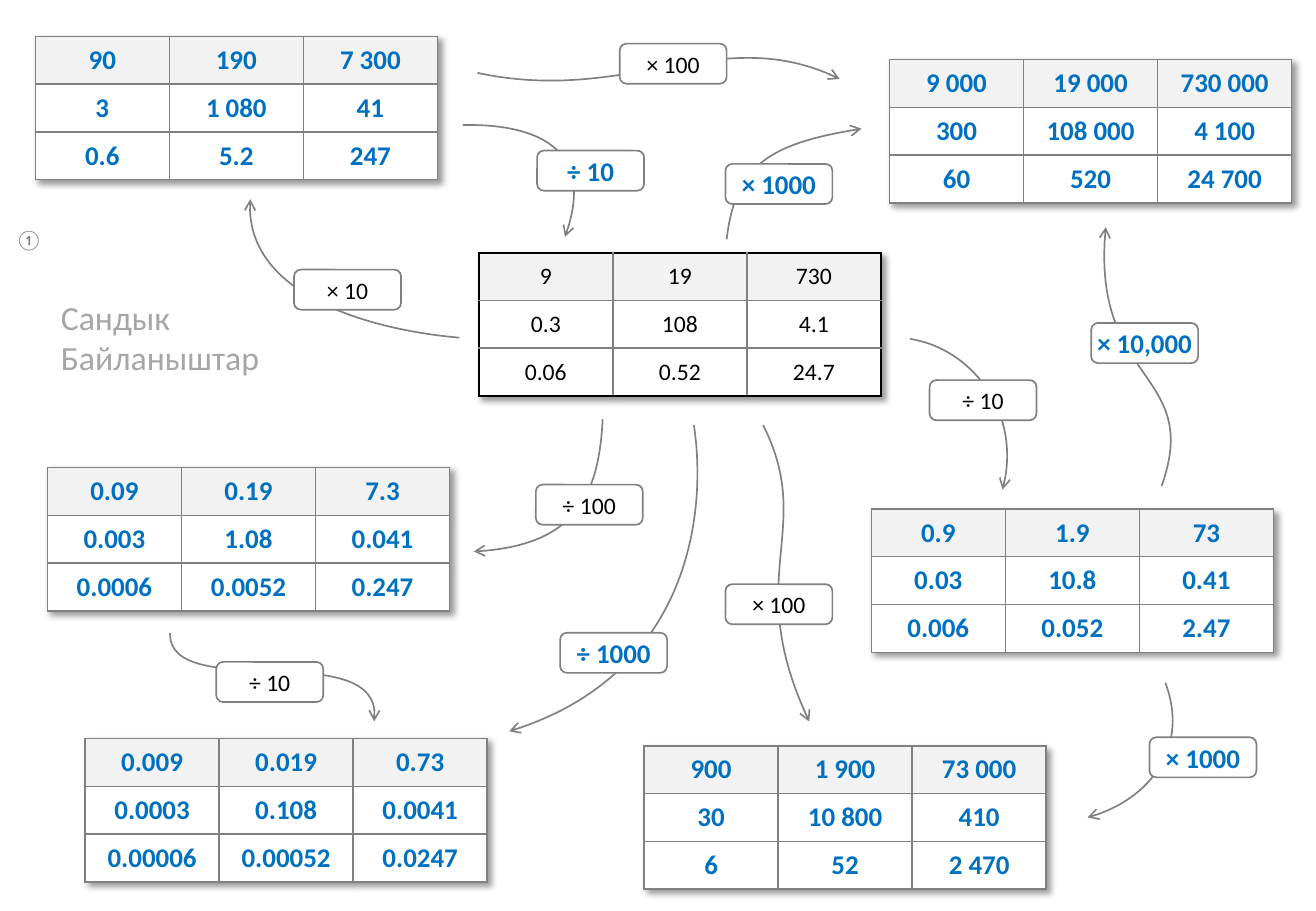
from lxml.etree import SubElement
from pptx import Presentation
from pptx.dml.color import RGBColor
from pptx.enum.shapes import MSO_SHAPE
from pptx.enum.text import MSO_ANCHOR, PP_ALIGN
from pptx.oxml import parse_xml
from pptx.oxml.ns import nsdecls, qn
from pptx.util import Pt

PX = 9144
FONT = "Calibri"
BLUE = RGBColor(0x00, 0x70, 0xC0)
BLACK = RGBColor(0x00, 0x00, 0x00)
WHITE = RGBColor(0xFF, 0xFF, 0xFF)
GRAY = RGBColor(0x80, 0x80, 0x80)
PALE_GRAY = RGBColor(0xA6, 0xA6, 0xA6)
HEADER_GRAY = RGBColor(0xF2, 0xF2, 0xF2)

SLIDE_SIZE = (1083, 750)
TITLE = ["Сандык", "Байланыштар"]
TITLE_BOX = (40, 239, 185, 77)
NUMBER = "①"
NUMBER_BOX = (3, 182, 43, 30)
TABLE_SIZE = (331, 118)
LABEL_SIZE = (88, 33)

TABLES = [
    ((29, 30), True, [["90", "190", "7 300"], ["3", "1 080", "41"], ["0.6", "5.2", "247"]]),
    ((394, 208), False, [["9", "19", "730"], ["0.3", "108", "4.1"], ["0.06", "0.52", "24.7"]]),
    ((732, 49), True, [["9 000", "19 000", "730 000"], ["300", "108 000", "4 100"],
                       ["60", "520", "24 700"]]),
    ((717, 419), True, [["0.9", "1.9", "73"], ["0.03", "10.8", "0.41"],
                        ["0.006", "0.052", "2.47"]]),
    ((530, 614), True, [["900", "1 900", "73 000"], ["30", "10 800", "410"],
                        ["6", "52", "2 470"]]),
    ((70, 608), True, [["0.009", "0.019", "0.73"], ["0.0003", "0.108", "0.0041"],
                       ["0.00006", "0.00052", "0.0247"]]),
    ((39, 385), True, [["0.09", "0.19", "7.3"], ["0.003", "1.08", "0.041"],
                       ["0.0006", "0.0052", "0.247"]]),
]

LINKS = [
    ("× 100", False, (510, 36), [(393, 60), (514, 86), (594, 17), (691, 65)]),
    ("× 1000", True, (597, 135), [(598, 197), (605, 138), (633, 118), (709, 106)]),
    ("× 10,000", True, (898, 266), [(956, 400), (989, 307), (897, 317), (910, 187)]),
    ("÷ 10", False, (765, 313), [(749, 279), (799, 287), (842, 342), (825, 403)]),
    ("× 10", False, (242, 222), [(378, 278), (299, 271), (200, 239), (206, 164)]),
    ("× 1000", True, (946, 607), [(959, 562), (978, 612), (947, 659), (895, 673)]),
    ("÷ 1000", True, (461, 521), [(571, 350), (582, 422), (567, 557), (419, 602)]),
    ("÷ 10", False, (178, 545), [(140, 521), (138, 578), (318, 522), (308, 594)]),
    ("÷ 100", False, (441, 399), [(496, 345), (493, 410), (470, 450), (390, 454)]),
    ("× 100", False, (597, 481), [(628, 350), (671, 435), (609, 474), (666, 594)]),
    ("÷ 10", True, (442, 124), [(381, 103), (430, 102), (494, 116), (465, 195)]),
]


def emu(*lengths):
    return [length * PX for length in lengths]


def write(frame, lines, size, color, bold=False, align=PP_ALIGN.CENTER):
    frame.text = "\n".join(lines)
    for para in frame.paragraphs:
        para.alignment = align
        para.font.name, para.font.size, para.font.bold = FONT, Pt(size), bold
        para.font.color.rgb = color


def write_value(frame, text, solved):
    write(frame, [text], 16 if solved else 14, BLUE if solved else BLACK, solved)


def set_borders(cell, outer_sides):
    properties = cell._tc.get_or_add_tcPr()
    for index, side in enumerate("LRTB"):
        color, width = (BLACK, 1.5) if side in outer_sides else (GRAY, 1)
        properties.insert(index, parse_xml(
            f'<a:ln{side} {nsdecls("a")} w="{Pt(width)}"><a:solidFill>'
            f'<a:srgbClr val="{color}"/></a:solidFill></a:ln{side}>'))


def add_number_table(page, corner, solved, rows):
    table = page.shapes.add_table(3, 3, *emu(*corner, *TABLE_SIZE)).table
    table.first_row = table.horz_banding = False
    table._tbl.tblPr.insert(0, parse_xml(
        f'<a:effectLst {nsdecls("a")}><a:outerShdw blurRad="50800" dist="38100" dir="2700000" '
        'algn="tl" rotWithShape="0"><a:prstClr val="black"><a:alpha val="40000"/></a:prstClr>'
        '</a:outerShdw></a:effectLst>'))
    for y, row in enumerate(rows):
        for x, value in enumerate(row):
            cell = table.cell(y, x)
            cell.margin_left = cell.margin_right = cell.margin_top = cell.margin_bottom = 0
            cell.vertical_anchor = MSO_ANCHOR.MIDDLE
            cell.fill.solid()
            cell.fill.fore_color.rgb = WHITE if y else HEADER_GRAY
            write_value(cell.text_frame, value, solved)
            outer_sides = {0: "L", 2: "R"}.get(x, "") + {0: "T", 2: "B"}.get(y, "")
            set_borders(cell, "" if solved else outer_sides)


def curve_point(curve, t):
    weights = ((1 - t) ** 3, 3 * t * (1 - t) ** 2, 3 * t ** 2 * (1 - t), t ** 3)
    return tuple(sum(w * point[axis] for w, point in zip(weights, curve)) for axis in (0, 1))


def add_curved_arrow(page, curve):
    """Size the outline by points along the curve, then make it one Bézier segment."""
    start, *others = curve = [emu(*point) for point in curve]
    outline = page.shapes.build_freeform(*start)
    outline.add_line_segments([curve_point(curve, i / 20) for i in range(1, 21)], close=False)
    arrow = outline.convert_to_shape()
    arrow.shadow.inherit = False
    arrow.fill.background()
    arrow.line.color.rgb, arrow.line.width = GRAY, Pt(1)
    SubElement(arrow.line._get_or_add_ln(), qn("a:tailEnd"), type="arrow")
    segments = list(arrow._element.iter(qn("a:lnTo")))
    bezier = SubElement(segments[0].getparent(), qn("a:cubicBezTo"))
    for segment in segments:
        segment.getparent().remove(segment)
    for x, y in others:
        SubElement(bezier, qn("a:pt"), x=str(x - arrow.left), y=str(y - arrow.top))


def add_label(page, text, solved, corner):
    label = page.shapes.add_shape(MSO_SHAPE.ROUNDED_RECTANGLE, *emu(*corner, *LABEL_SIZE))
    label.shadow.inherit = False
    label.fill.solid()
    label.fill.fore_color.rgb = WHITE
    label.line.color.rgb, label.line.width = GRAY, Pt(1)
    frame = label.text_frame
    frame.margin_left = frame.margin_right = 0
    frame.vertical_anchor = MSO_ANCHOR.MIDDLE
    write_value(frame, text, solved)


def main():
    deck = Presentation()
    deck.slide_width, deck.slide_height = emu(*SLIDE_SIZE)
    page = deck.slides.add_slide(deck.slide_layouts[5])

    title = page.shapes.title
    title.left, title.top, title.width, title.height = emu(*TITLE_BOX)
    title.text_frame.vertical_anchor = MSO_ANCHOR.TOP
    title.text_frame.word_wrap = False
    write(title.text_frame, TITLE, 20, PALE_GRAY, align=PP_ALIGN.LEFT)

    number = page.shapes.add_textbox(*emu(*NUMBER_BOX))
    write(number.text_frame, [NUMBER], 12, GRAY, align=PP_ALIGN.LEFT)

    for corner, solved, rows in TABLES:
        add_number_table(page, corner, solved, rows)
    for text, solved, corner, curve in LINKS:
        add_curved_arrow(page, curve)
        add_label(page, text, solved, corner)
    deck.save("out.pptx")


if __name__ == "__main__":
    main()
